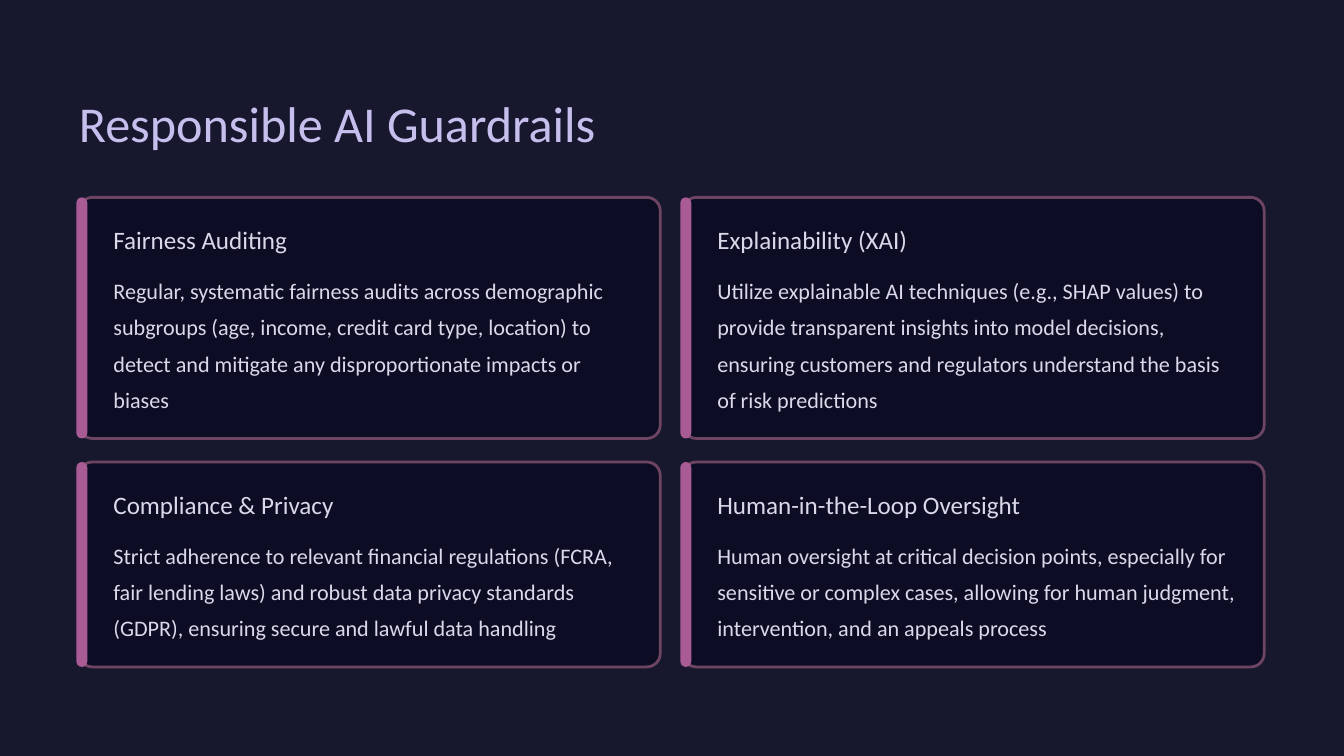
"""Build the Responsible AI Guardrails slide: a title above four accent-edged cards."""
from pptx import Presentation
from pptx.dml.color import RGBColor
from pptx.enum.shapes import MSO_SHAPE
from pptx.enum.text import MSO_ANCHOR, PP_ALIGN
from pptx.util import Inches, Pt

TITLE = "Responsible AI Guardrails"
CARD_ROWS = [
    [
        ("Fairness Auditing",
         "Regular, systematic fairness audits across demographic subgroups (age, income, "
         "credit card type, location) to detect and mitigate any disproportionate impacts "
         "or biases"),
        ("Explainability (XAI)",
         "Utilize explainable AI techniques (e.g., SHAP values) to provide transparent "
         "insights into model decisions, ensuring customers and regulators understand the "
         "basis of risk predictions"),
    ],
    [
        ("Compliance & Privacy",
         "Strict adherence to relevant financial regulations (FCRA, fair lending laws) and "
         "robust data privacy standards (GDPR), ensuring secure and lawful data handling"),
        ("Human-in-the-Loop Oversight",
         "Human oversight at critical decision points, especially for sensitive or complex "
         "cases, allowing for human judgment, intervention, and an appeals process"),
    ],
]

THEME = {
    "font": "Calibri",
    "background": "17182E",
    "card": "0C0D24",
    "border": "6D4562",
    "border_width": 2.4,
    "accent": "A95B95",
    "title": {"color": "C6BFEE", "size": 43, "leading": 54},
    "heading": {"color": "DAD8E9", "size": 21.5, "leading": 27},
    "body": {"color": "DAD8E9", "size": 19, "leading": 31},
}

LEFT, TOP = 0.94, 2.35
CARD_WIDTH, COLUMN_STEP = 6.92, 7.19
ROW_HEIGHTS, ROW_GAP = [2.87, 2.44], 0.28
CORNER_RADIUS = 0.16
ACCENT_WIDTH, ACCENT_OVERHANG = 0.13, 0.03
TEXT_INDENT, TEXT_WIDTH = 0.41, 6.21
HEADING_OFFSET, HEADING_HEIGHT = 0.31, 0.38
BODY_OFFSET, BODY_MARGIN = 0.84, 0.3


def color(name):
    return RGBColor.from_string(name)


def add_text(page, text, style, left, top, width, height, wrap=False):
    box = page.shapes.add_textbox(Inches(left), Inches(top), Inches(width), Inches(height))
    frame_format = {
        "margin_left": 0, "margin_right": 0, "margin_top": 0, "margin_bottom": 0,
        "word_wrap": wrap, "vertical_anchor": MSO_ANCHOR.TOP,
    }
    for name, value in frame_format.items():
        setattr(box.text_frame, name, value)
    para = box.text_frame.paragraphs[0]
    para.alignment = PP_ALIGN.LEFT
    para.line_spacing = Pt(style["leading"])
    span = para.add_run()
    span.text = text
    for name, value in {"name": THEME["font"], "size": Pt(style["size"])}.items():
        setattr(span.font, name, value)
    span.font.color.rgb = color(style["color"])


def add_panel(page, left, top, width, height, rounding, fill, border=None):
    panel = page.shapes.add_shape(
        MSO_SHAPE.ROUNDED_RECTANGLE, Inches(left), Inches(top), Inches(width), Inches(height))
    panel.shadow.inherit = False
    panel.adjustments[0] = rounding
    panel.fill.solid()
    panel.fill.fore_color.rgb = color(fill)
    if border:
        panel.line.color.rgb = color(border)
        panel.line.width = Pt(THEME["border_width"])
    else:
        panel.line.fill.background()


def add_card(page, heading, body, left, top, height):
    add_panel(page, left, top, CARD_WIDTH, height, CORNER_RADIUS / height,
              THEME["card"], THEME["border"])
    add_panel(page, left - ACCENT_OVERHANG, top, ACCENT_WIDTH, height, 0.5, THEME["accent"])
    text_left = left + TEXT_INDENT
    add_text(page, heading, THEME["heading"], text_left, top + HEADING_OFFSET,
             TEXT_WIDTH, HEADING_HEIGHT)
    add_text(page, body, THEME["body"], text_left, top + BODY_OFFSET,
             TEXT_WIDTH, height - BODY_OFFSET - BODY_MARGIN, wrap=True)


def main():
    deck = Presentation()
    deck.slide_width, deck.slide_height = Inches(16), Inches(9)
    page = deck.slides.add_slide(deck.slide_layouts[6])
    page.background.fill.solid()
    page.background.fill.fore_color.rgb = color(THEME["background"])
    add_text(page, TITLE, THEME["title"], LEFT, 1.06, 7.5, 0.75)
    top = TOP
    for cards, height in zip(CARD_ROWS, ROW_HEIGHTS):
        for column, (heading, body) in enumerate(cards):
            add_card(page, heading, body, LEFT + column * COLUMN_STEP, top, height)
        top += height + ROW_GAP
    deck.save("out.pptx")


if __name__ == "__main__":
    main()
